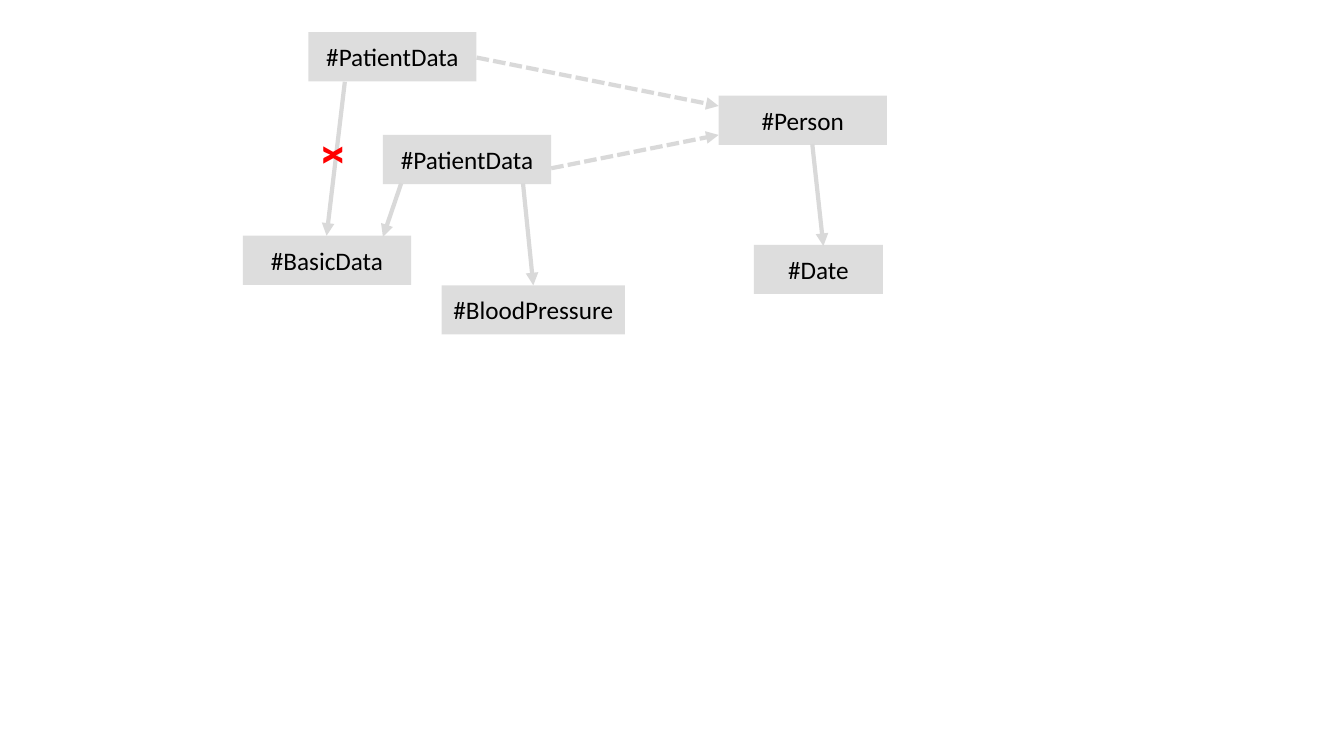
from lxml.etree import SubElement
from pptx import Presentation
from pptx.dml.color import RGBColor
from pptx.enum.dml import MSO_LINE
from pptx.enum.shapes import MSO_CONNECTOR, MSO_SHAPE
from pptx.enum.text import MSO_ANCHOR, MSO_AUTO_SIZE, PP_ALIGN
from pptx.oxml.ns import qn
from pptx.util import Cm, Pt

GREY = RGBColor(0xD9, 0xD9, 0xD9)
BLACK = RGBColor(0, 0, 0)
RED = RGBColor(0xFF, 0, 0)

BOX_W, BOX_H = 4.24, 1.24

# label, left, top, width
BOXES = [
    ("#Person", 18.11, 2.41, BOX_W),
    ("#PatientData", 9.65, 3.4, BOX_W),
    ("#BasicData", 6.12, 5.94, BOX_W),
    ("#BloodPressure", 11.13, 7.19, 4.62),
    ("#Date", 19, 6.17, 3.25),
    ("#PatientData", 7.77, 0.81, BOX_W),
]

# start x, start y, end x, end y, dashed
ARROWS = [
    (10.11, 4.62, 9.65, 5.97, False),
    (13.89, 4.24, 18.11, 3.4, True),
    (13.18, 4.62, 13.44, 7.19, False),
    (20.47, 3.63, 20.75, 6.2, False),
    (12.01, 1.45, 18.11, 2.67, True),
    (8.69, 2.06, 8.23, 5.94, False),
]


class Diagram:
    """Holds the text style and the slide being drawn."""

    label_font = {"name": "Calibri", "size": Pt(18), "bold": False}
    mark_font = {"name": "Calibri", "size": Pt(28), "bold": True}

    def __init__(self, s):
        """Draw on slide s."""
        self.s = s

    def add_text(self, tf, text, font, color):
        """Put one styled run into a text frame and return its paragraph."""
        p = tf.paragraphs[0]
        r = p.add_run()
        r.text = text
        for name, value in font.items():
            setattr(r.font, name, value)
        r.font.color.rgb = color
        return p

    def box(self, text, left, top, width):
        """Add a translucent grey box with a centred label."""
        sp = self.s.shapes.add_shape(
            MSO_SHAPE.RECTANGLE, Cm(left), Cm(top), Cm(width), Cm(BOX_H))
        sp.shadow.inherit = False
        sp.fill.solid()
        sp.fill.fore_color.rgb = GREY
        srgb = sp.element.spPr.find(qn("a:solidFill")).find(qn("a:srgbClr"))
        SubElement(srgb, qn("a:alpha"), val="87000")
        sp.line.fill.background()
        tf = sp.text_frame
        tf.vertical_anchor = MSO_ANCHOR.MIDDLE
        p = self.add_text(tf, text, self.label_font, BLACK)
        p.alignment = PP_ALIGN.CENTER

    def arrow(self, x1, y1, x2, y2, dashed):
        """Add a grey arrow pointing at (x2, y2)."""
        cxn = self.s.shapes.add_connector(
            MSO_CONNECTOR.STRAIGHT, Cm(x1), Cm(y1), Cm(x2), Cm(y2))
        cxn.line.color.rgb = GREY
        cxn.line.width = Pt(3)
        if dashed:
            cxn.line.dash_style = MSO_LINE.SQUARE_DOT
        spPr = cxn.element.spPr
        SubElement(spPr.find(qn("a:ln")), qn("a:tailEnd"), type="triangle")
        SubElement(spPr, qn("a:effectLst"))

    def mark(self, text, left, top, width, height):
        """Add a red mark turned by a quarter."""
        sp = self.s.shapes.add_textbox(Cm(left), Cm(top), Cm(width), Cm(height))
        sp.rotation = 90
        tf = sp.text_frame
        tf.word_wrap = False
        tf.auto_size = MSO_AUTO_SIZE.SHAPE_TO_FIT_TEXT
        self.add_text(tf, text, self.mark_font, RED)


def main():
    """Build the slide and save it."""
    prs = Presentation()
    prs.slide_width, prs.slide_height = Cm(33.87), Cm(19.05)
    diagram = Diagram(prs.slides.add_slide(prs.slide_layouts[6]))
    for box in BOXES:
        diagram.box(*box)
    for arrow in ARROWS:
        diagram.arrow(*arrow)
    diagram.mark("x", 8.05, 3.2, 0.97, 1.45)
    prs.save("out.pptx")


main()
